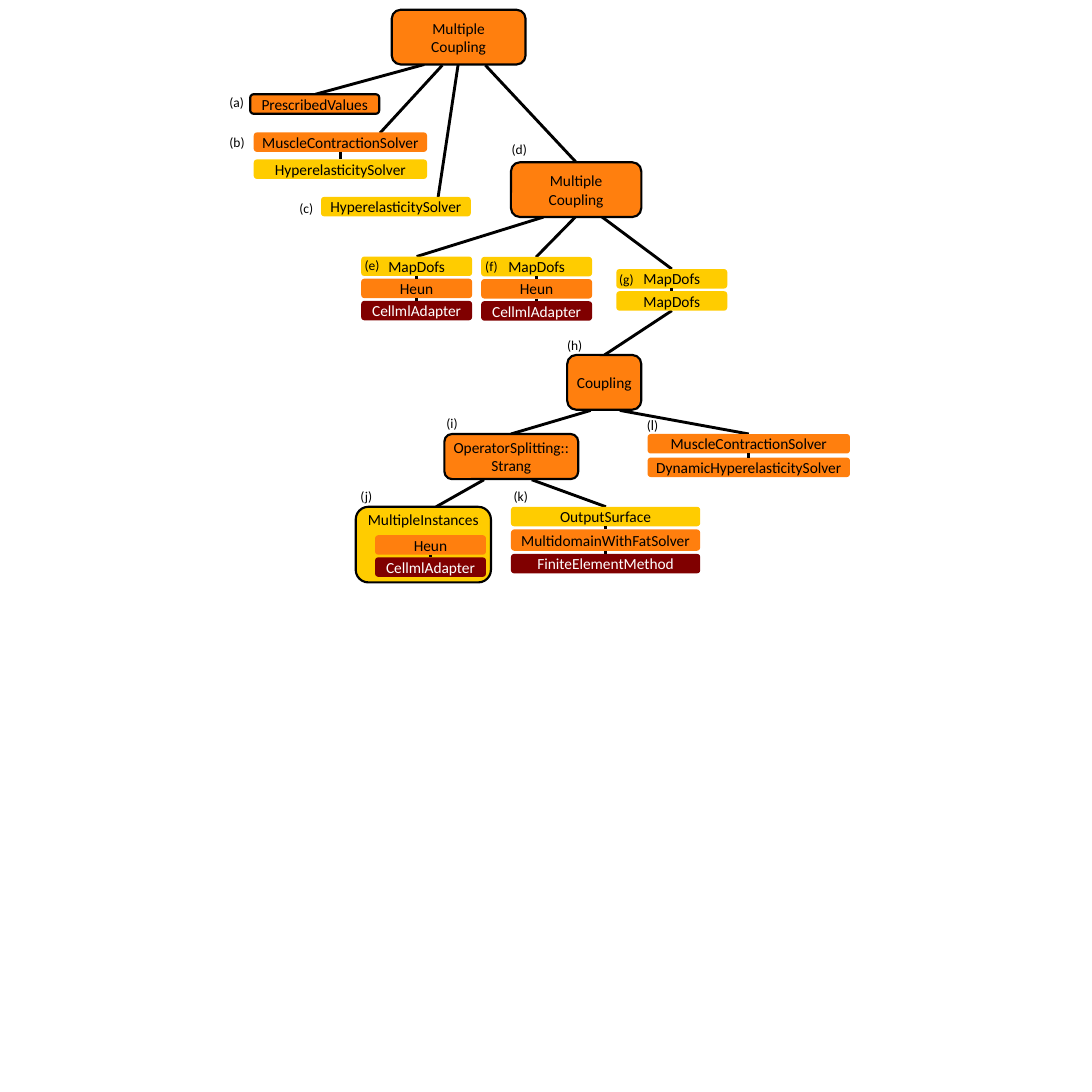
import pptx
import pptx.util
import pptx.dml.color
import pptx.enum.shapes
import pptx.enum.text
import pptx.oxml.ns
from lxml import etree

Pt = pptx.util.Pt
COLOURS = {"orange": "FF7F0E", "yellow": "FFCC00", "maroon": "800000",
           "black": "000000", "white": "FFFFFF"}
BAR_HEIGHT = 20.2


def rgb(name):
    return pptx.dml.color.RGBColor.from_string(COLOURS[name])


class TreeDiagram:
    font_name = "Calibri"
    node_size = 16
    label_size = 14
    outline_width = 2.25
    edge_width = 3

    def __init__(self, slide):
        self.slide = slide

    def style_font(self, font, size, colour):
        font.name = self.font_name
        font.size = Pt(size)
        font.color.rgb = rgb(colour)

    def node(self, text, left, top, width, height=BAR_HEIGHT, colour="orange",
             outlined=True, title_on_top=False, shapes=None):
        node = (shapes or self.slide.shapes).add_shape(
            pptx.enum.shapes.MSO_SHAPE.ROUNDED_RECTANGLE,
            Pt(left), Pt(top), Pt(width), Pt(height))
        node.shadow.inherit = False
        node.fill.solid()
        node.fill.fore_color.rgb = rgb(colour)
        if outlined:
            node.line.color.rgb = rgb("black")
            node.line.width = Pt(self.outline_width)
        else:
            node.line.fill.background()
        frame = node.text_frame
        frame.word_wrap = True
        frame.margin_left = frame.margin_right = Pt(6.5)
        frame.margin_top = Pt(0 if title_on_top else 3)
        frame.margin_bottom = Pt(3)
        anchor = pptx.enum.text.MSO_ANCHOR
        frame.vertical_anchor = anchor.TOP if title_on_top else anchor.MIDDLE
        paragraph = frame.paragraphs[0]
        paragraph.text = text
        paragraph.alignment = pptx.enum.text.PP_ALIGN.CENTER
        self.style_font(paragraph.font, self.node_size,
                        "white" if colour == "maroon" else "black")

    def edge(self, x1, y1, x2, y2, shapes=None):
        edge = (shapes or self.slide.shapes).add_connector(
            pptx.enum.shapes.MSO_CONNECTOR.STRAIGHT, Pt(x1), Pt(y1), Pt(x2), Pt(y2))
        edge.line.color.rgb = rgb("black")
        edge.line.width = Pt(self.edge_width)
        etree.SubElement(edge._element.spPr, pptx.oxml.ns.qn("a:effectLst"))

    def stack(self, left, top, width, gap, bars, grouped=False):
        shapes = self.slide.shapes
        if grouped:
            shapes = shapes.add_group_shape().shapes
        joints = []
        for text, colour, height in bars:
            self.node(text, left, top, width, height, colour, False, shapes=shapes)
            joints.append(top + height)
            top += height + gap
        for bottom in joints[:-1]:
            middle = left + width / 2
            self.edge(middle, bottom, middle, bottom + gap, shapes)

    def label(self, letter, left, top, width=31, letter_font=None):
        box = self.slide.shapes.add_textbox(Pt(left), Pt(top), Pt(width), Pt(24.2))
        frame = box.text_frame
        frame.word_wrap = True
        frame.auto_size = pptx.enum.text.MSO_AUTO_SIZE.SHAPE_TO_FIT_TEXT
        paragraph = frame.paragraphs[0]
        self.style_font(paragraph.font, self.label_size, "black")
        if letter_font:
            for part in ("(", letter, ")"):
                run = paragraph.add_run()
                run.text = part
                run.font.name = letter_font if part == letter else self.font_name
        else:
            paragraph.add_run().text = f"({letter})"


def bar(text, colour, height=BAR_HEIGHT):
    return text, colour, height


presentation = pptx.Presentation()
presentation.slide_width = presentation.slide_height = Pt(1134)
diagram = TreeDiagram(presentation.slides.add_slide(presentation.slide_layouts[6]))

EDGES = [
    (440.6, 67, 327.6, 97.9), (459.4, 67.7, 394.6, 138.2),
    (475.9, 66.2, 455, 204.5), (504, 67.7, 598.3, 168.5),
    (564.5, 225.4, 432.7, 266.4), (598.3, 224.6, 556.6, 267.1),
    (624.2, 224.6, 697.7, 279.4), (697.7, 322.6, 627.8, 368.6),
    (613.4, 426.2, 530.6, 450.7), (643.7, 426.2, 777.6, 450.7),
    (502.6, 498.2, 452.9, 526.3), (552.2, 498.2, 629.3, 526.3),
]
for ends in EDGES:
    diagram.edge(*ends)

NODES = [
    ("Multiple\nCoupling", 406.8, 10.1, 139, 56.9),
    ("PrescribedValues", 259.9, 97.9, 133.9, BAR_HEIGHT),
    ("Multiple\nCoupling", 530.6, 168.5, 135.4, 56.9),
    ("Coupling", 589, 368.6, 77, 56.9),
    ("OperatorSplitting::Strang", 461.5, 450.7, 139, 46.8),
]
for text, *place in NODES:
    diagram.node(text, *place)
diagram.node("MultipleInstances", 369.4, 526.3, 140.4, 78.5, "yellow", title_on_top=True)

heun_cellml = [bar("Heun", "orange"), bar("CellmlAdapter", "maroon")]
mapped_cellml = [bar("MapDofs", "yellow"), *heun_cellml]
hyperelasticity = bar("HyperelasticitySolver", "yellow")
muscle = bar("MuscleContractionSolver", "orange")

diagram.stack(263.5, 137.5, 180, 7.9, [muscle, hyperelasticity])
diagram.stack(333.4, 204.5, 155.5, 0, [hyperelasticity])
diagram.stack(375.1, 266.4, 115.2, 2.8, mapped_cellml, grouped=True)
diagram.stack(499.7, 266.8, 115.2, 2.8, mapped_cellml, grouped=True)
diagram.stack(640.1, 279.4, 115.2, 2.8, [bar("MapDofs", "yellow")] * 2)
diagram.stack(389.5, 555.8, 115.2, 2.8, heun_cellml)
diagram.stack(530.6, 526.3, 196.6, 3.2, [
    bar("OutputSurface", "yellow"),
    bar("MultidomainWithFatSolver", "orange", 22.3),
    bar("FiniteElementMethod", "maroon")])
diagram.stack(672.5, 450.7, 210.2, 4.3, [
    muscle, bar("DynamicHyperelasticitySolver", "orange")])

LABELS = [
    ("a", 231.1, 94.3), ("b", 231.1, 135.4), ("c", 303.8, 203.8),
    ("d", 524.2, 142.6), ("e", 371.5, 263.5), ("f", 496.8, 264.2),
    ("g", 635.8, 277.9), ("h", 581.8, 346.3), ("i", 456.5, 427),
    ("j", 367.2, 503.3, 36), ("k", 526.3, 503.3, 38.2),
    ("l", 664.6, 429.8, 38.2, "Lato"),
]
for label in LABELS:
    diagram.label(*label)

presentation.save("out.pptx")
